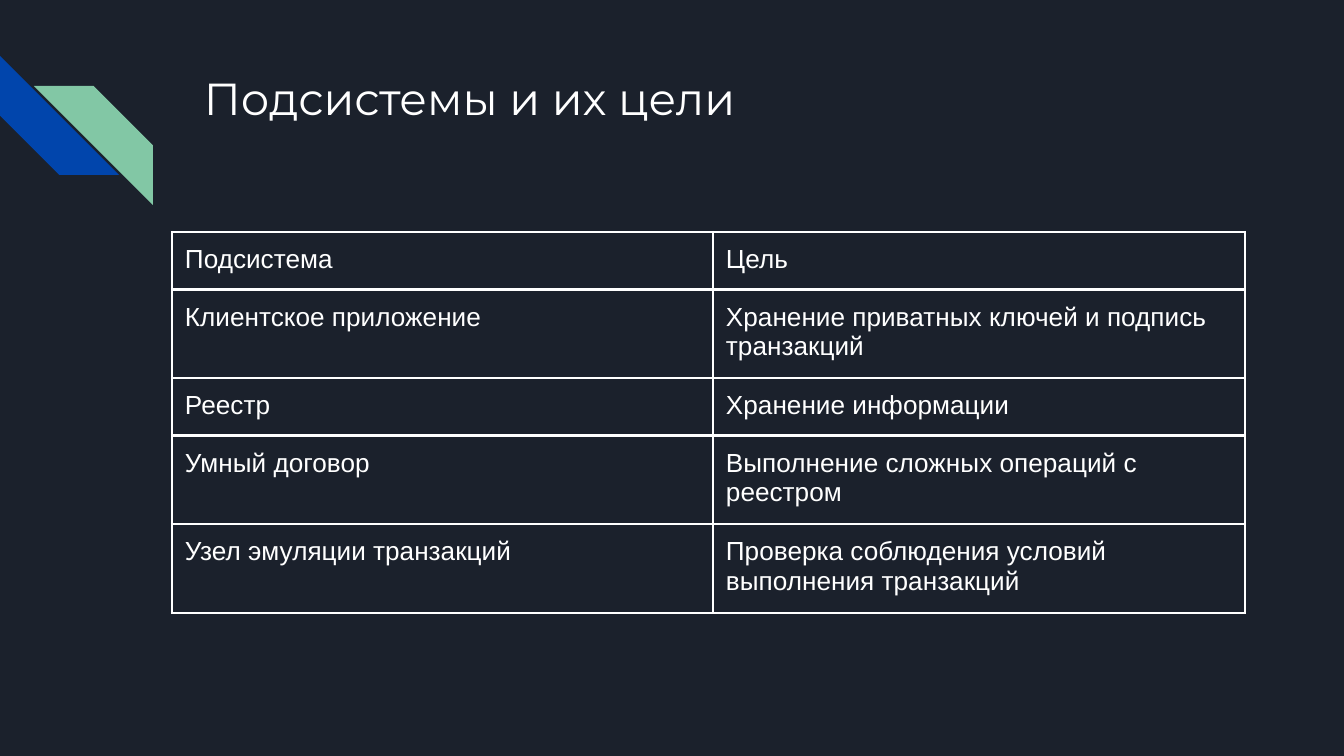
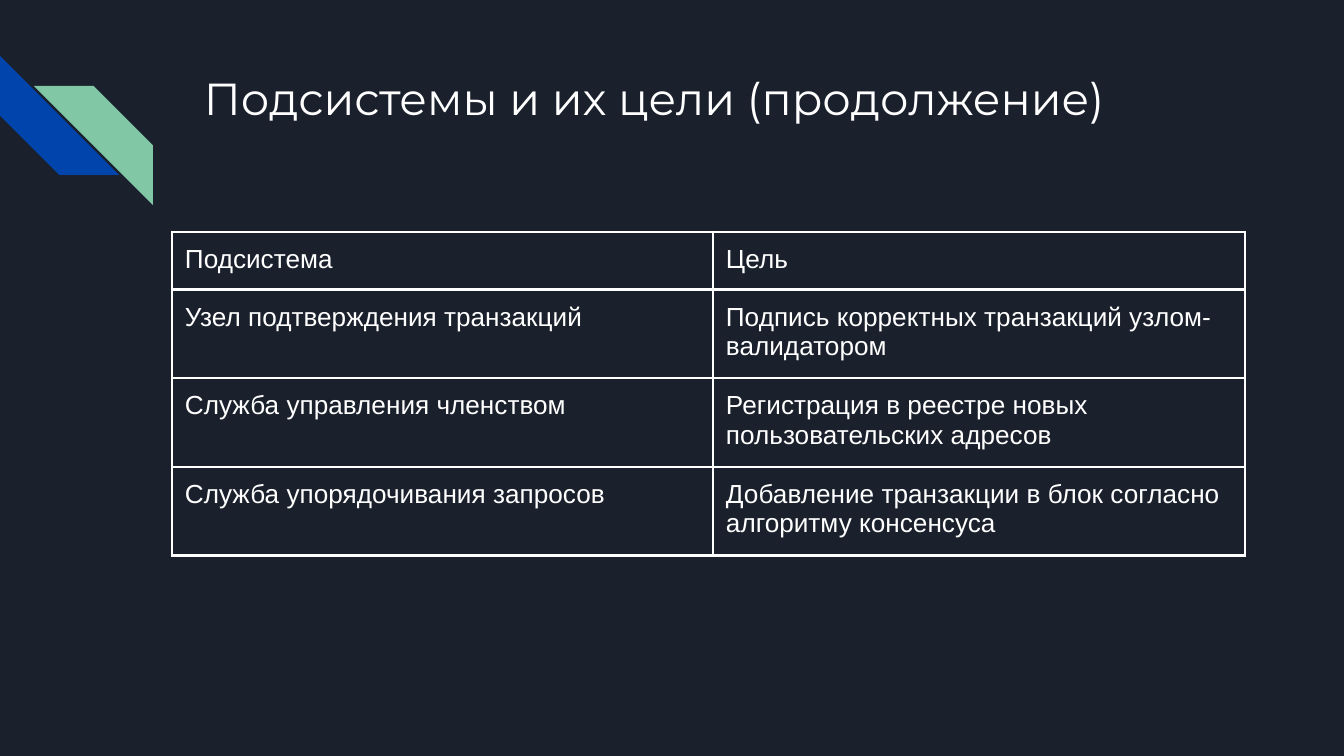
"""Build two dark slides that list the subsystems and their goals."""
from dataclasses import dataclass

from lxml.etree import SubElement
from pptx import Presentation
from pptx.dml.color import RGBColor
from pptx.enum.shapes import MSO_SHAPE as Preset
from pptx.enum.text import MSO_ANCHOR as Anchor
from pptx.oxml.ns import qn
from pptx.presentation import Presentation as Deck
from pptx.slide import Slide
from pptx.table import _Cell as Cell
from pptx.text.text import TextFrame
from pptx.util import Emu, Pt

PX_PER_INCH = 134.4


def px(length: int) -> Emu:
    """Turn a length in px into EMU."""
    return Emu(round(length * 914400 / PX_PER_INCH))


@dataclass(frozen=True)
class TextStyle:
    """Font, size and colour of a text."""
    name: str
    size: int
    color: str


@dataclass(frozen=True)
class Theme:
    """Colours, type and line widths shared by the slides."""
    background: str = "1B212C"
    blue: str = "0145AC"
    green: str = "82C7A5"
    border: str = "FFFFFF"
    border_width: float = 1.5
    title: TextStyle = TextStyle("Montserrat", 24, "FFFFFF")
    body: TextStyle = TextStyle("Arial", 14, "FFFFFF")


@dataclass(frozen=True)
class Box:
    """Place and size in px."""
    left: int
    top: int
    width: int
    height: int

    def emu(self) -> tuple[Emu, Emu, Emu, Emu]:
        """Return the four lengths in EMU."""
        return px(self.left), px(self.top), px(self.width), px(self.height)


@dataclass(frozen=True)
class Stripe:
    """A diagonal stripe of the corner ornament."""
    box: Box
    color: str
    rotation: int = 0
    mirrored: bool = False


@dataclass(frozen=True)
class Subsystem:
    """A table row: a subsystem and its goal."""
    name: str
    goal: str


@dataclass(frozen=True)
class SubsystemSlide:
    """The title and the table rows of one slide."""
    title: str
    subsystems: tuple[Subsystem, ...]


THEME = Theme()
SLIDE_WIDTH, SLIDE_HEIGHT = 1344, 756
TITLE_BOX = Box(191, 58, 1035, 134)
TABLE_LEFT, TABLE_TOP = 172, 232
COLUMN_WIDTHS = (541, 532)
ROW_HEIGHT = 56
INSET = 13
STRIPES = (
    Stripe(Box(0, 56, 119, 119), THEME.blue, rotation=270),
    Stripe(Box(34, 86, 119, 119), THEME.green, mirrored=True),
)
HEADER = Subsystem("Подсистема", "Цель")
SLIDES = (
    SubsystemSlide("Подсистемы и их цели", (
        Subsystem("Клиентское приложение", "Хранение приватных ключей и подпись транзакций"),
        Subsystem("Реестр", "Хранение информации"),
        Subsystem("Умный договор", "Выполнение сложных операций с реестром"),
        Subsystem("Узел эмуляции транзакций", "Проверка соблюдения условий выполнения транзакций"),
    )),
    SubsystemSlide("Подсистемы и их цели (продолжение)", (
        Subsystem("Узел подтверждения транзакций", "Подпись корректных транзакций узлом-валидатором"),
        Subsystem("Служба управления членством", "Регистрация в реестре новых пользовательских адресов"),
        Subsystem("Служба упорядочивания запросов", "Добавление транзакции в блок согласно алгоритму консенсуса"),
    )),
)


def set_attributes(target: object, values: dict[str, object]) -> None:
    """Set every attribute named in the dict."""
    for name, value in values.items():
        setattr(target, name, value)


def set_margins(target: TextFrame | Cell) -> None:
    """Give a text frame or a cell the common inset."""
    set_attributes(target, {f"margin_{side}": px(INSET) for side in ("left", "top", "right", "bottom")})


def write_text(frame: TextFrame, text: str, style: TextStyle) -> None:
    """Write one styled run into a text frame."""
    run = frame.paragraphs[0].add_run()
    run.text = text
    set_attributes(run.font, {"name": style.name, "size": Pt(style.size), "bold": False})
    run.font.color.rgb = RGBColor.from_string(style.color)


def draw_stripe(slide: Slide, stripe: Stripe) -> None:
    """Draw one stripe of the ornament."""
    shape = slide.shapes.add_shape(Preset.DIAGONAL_STRIPE, *stripe.box.emu())
    shape.shadow.inherit = False
    shape.rotation = stripe.rotation
    shape.fill.solid()
    shape.fill.fore_color.rgb = RGBColor.from_string(stripe.color)
    shape.line.fill.background()
    if stripe.mirrored:
        shape._element.spPr.xfrm.set("flipH", "1")


def draw_title(slide: Slide, title: str) -> None:
    """Draw the slide title."""
    frame = slide.shapes.add_textbox(*TITLE_BOX.emu()).text_frame
    set_attributes(frame, {"word_wrap": True, "vertical_anchor": Anchor.TOP})
    set_margins(frame)
    write_text(frame, title, THEME.title)


def draw_borders(cell: Cell) -> None:
    """Give a cell a solid line on all four sides."""
    properties = cell._tc.get_or_add_tcPr()
    for side in ("lnL", "lnR", "lnT", "lnB"):
        line = SubElement(properties, qn(f"a:{side}"), w=str(Pt(THEME.border_width)))
        fill = SubElement(line, qn("a:solidFill"))
        SubElement(fill, qn("a:srgbClr"), val=THEME.border)


def draw_cell(cell: Cell, text: str) -> None:
    """Format a table cell and write its text."""
    set_margins(cell)
    draw_borders(cell)
    cell.fill.background()
    write_text(cell.text_frame, text, THEME.body)


def draw_table(slide: Slide, subsystems: tuple[Subsystem, ...]) -> None:
    """Draw the header and one row for each subsystem."""
    rows = (HEADER, *subsystems)
    box = Box(TABLE_LEFT, TABLE_TOP, sum(COLUMN_WIDTHS), ROW_HEIGHT * len(rows))
    table = slide.shapes.add_table(len(rows), len(COLUMN_WIDTHS), *box.emu()).table
    set_attributes(table, {"first_row": False, "horz_banding": False})
    for column, width in zip(table.columns, COLUMN_WIDTHS):
        column.width = px(width)
    for row, subsystem in zip(table.rows, rows):
        row.height = px(ROW_HEIGHT)
        for cell, text in zip(row.cells, (subsystem.name, subsystem.goal)):
            draw_cell(cell, text)


def add_subsystem_slide(presentation: Deck, content: SubsystemSlide) -> None:
    """Add one slide with ornament, title and table."""
    slide = presentation.slides.add_slide(presentation.slide_layouts[6])
    slide.background.fill.solid()
    slide.background.fill.fore_color.rgb = RGBColor.from_string(THEME.background)
    for stripe in STRIPES:
        draw_stripe(slide, stripe)
    draw_title(slide, content.title)
    draw_table(slide, content.subsystems)


def main() -> None:
    """Build and save the presentation."""
    presentation = Presentation()
    set_attributes(presentation, {"slide_width": px(SLIDE_WIDTH), "slide_height": px(SLIDE_HEIGHT)})
    for content in SLIDES:
        add_subsystem_slide(presentation, content)
    presentation.save("out.pptx")


if __name__ == "__main__":
    main()
